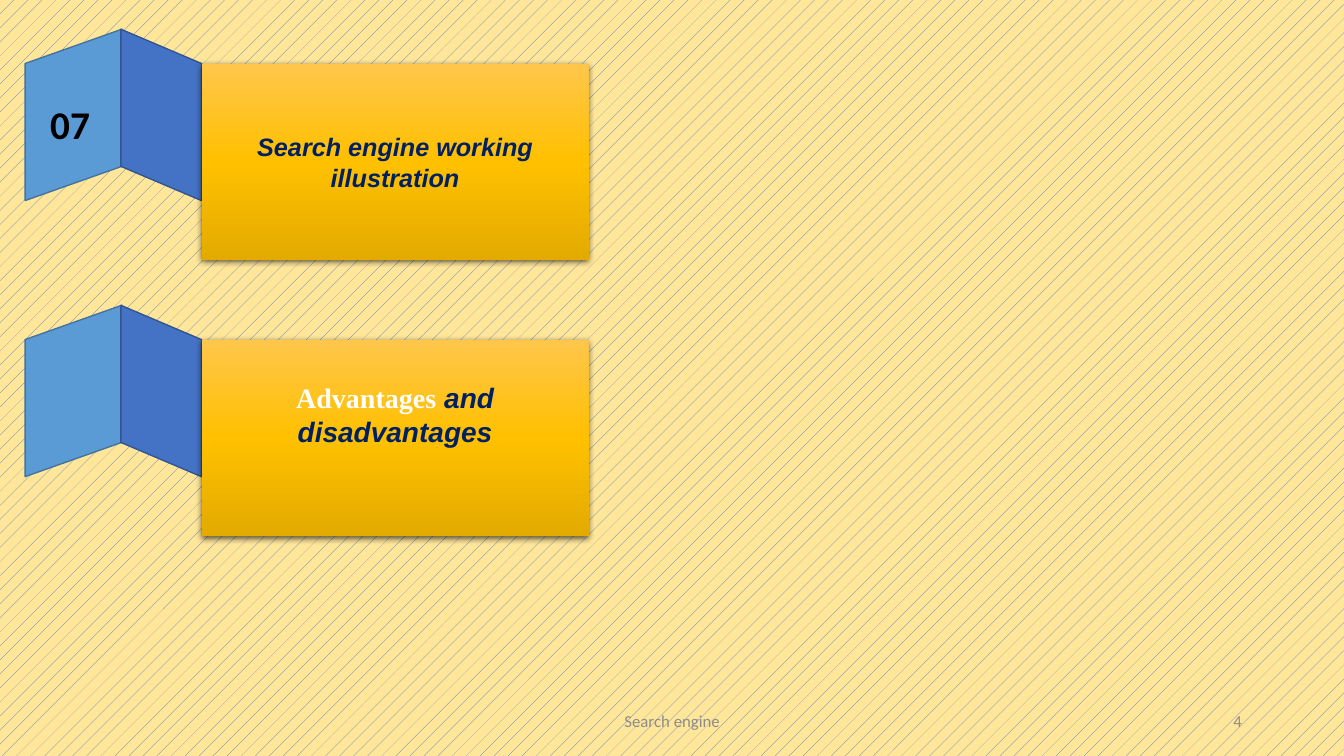
from dataclasses import dataclass

from lxml import etree
from pptx import Presentation
from pptx.dml.color import RGBColor
from pptx.enum.dml import MSO_PATTERN
from pptx.enum.shapes import MSO_SHAPE
from pptx.enum.text import MSO_ANCHOR, PP_ALIGN
from pptx.oxml.ns import qn
from pptx.util import Pt

PARALLELOGRAM = MSO_SHAPE.FLOWCHART_DATA
RECTANGLE = MSO_SHAPE.RECTANGLE
TOP, MIDDLE = MSO_ANCHOR.TOP, MSO_ANCHOR.MIDDLE
LEFT, CENTER, RIGHT = PP_ALIGN.LEFT, PP_ALIGN.CENTER, PP_ALIGN.RIGHT

NAVY, WHITE, BLACK, GRAY = "002060", "FFFFFF", "000000", "8C8C8C"
GOLD_STOPS = ((0, "FFC64B"), (50, "FFC000"), (100, "E3AB00"))


@dataclass
class Run:
    text: str
    size: float
    color: str
    font: str = "Calibri"
    bold: bool = False
    italic: bool = False


@dataclass
class Fold:
    left: float
    top: float  # below the top of the banner
    width: float
    height: float
    rotation: int
    flip: bool
    fill: str
    line: str


@dataclass
class Banner:
    top: float
    runs: list[Run]
    bottom_inset: float = 3.6


@dataclass
class Label:
    left: float
    top: float
    width: float
    height: float
    align: PP_ALIGN
    anchor: MSO_ANCHOR
    run: Run


FOLDS = [
    Fold(-8.64, 26.7, 122.4, 69.1, 90, True, "5B9BD5", "43739E"),
    Fold(54, 32.5, 122.4, 57.6, 270, False, "4472C4", "325491"),
]
BANNERS = [
    Banner(20.8, [Run("Search engine working illustration", 18, NAVY, "Arial", True, True)]),
    Banner(218, [Run("Advantages", 20, WHITE, "Times New Roman", True),
                 Run(" and disadvantages", 20, NAVY, "Arial", True, True)], 37.2),
]
LABELS = [
    Label(28.8, 68.4, 50.4, 41, LEFT, TOP, Run("07", 28, BLACK, bold=True)),
    Label(318.2, 500.4, 324, 28.8, CENTER, MIDDLE, Run("Search engine", 12, GRAY)),
    Label(678.2, 500.4, 216, 28.8, RIGHT, MIDDLE, Run("4", 12, GRAY)),
]


def rgb(value: str) -> RGBColor:
    return RGBColor.from_string(value)


def write(sp, runs: list[Run], align: PP_ALIGN, anchor: MSO_ANCHOR) -> None:
    tf = sp.text_frame
    tf.word_wrap = True
    tf.vertical_anchor = anchor
    p = tf.paragraphs[0]
    p.alignment = align
    for run in runs:
        r = p.add_run()
        r.text = run.text
        r.font.size = Pt(run.size)
        r.font.name = run.font
        r.font.bold = run.bold
        r.font.italic = run.italic
        r.font.color.rgb = rgb(run.color)


def add_color(parent, value: str):
    return etree.SubElement(parent, qn("a:srgbClr"), val=value)


def fill_gold(sp) -> None:
    sp.fill.gradient()
    sp.fill.gradient_angle = 270
    stops = sp.element.spPr.find(".//" + qn("a:gsLst"))
    for stop in list(stops):
        stops.remove(stop)
    for percent, color in GOLD_STOPS:
        add_color(etree.SubElement(stops, qn("a:gs"), pos=str(percent * 1000)), color)


def cast_shadow(sp) -> None:
    sp.shadow.inherit = False
    effects = sp.element.spPr.find(qn("a:effectLst"))
    shadow = etree.SubElement(effects, qn("a:outerShdw"), blurRad=str(Pt(4.5)),
                              dist=str(Pt(1.5)), dir="5400000", algn="ctr", rotWithShape="0")
    etree.SubElement(add_color(shadow, BLACK), qn("a:alpha"), val="63000")


def add_fold(shapes, fold: Fold, top: float) -> None:
    sp = shapes.add_shape(PARALLELOGRAM, Pt(fold.left), Pt(top + fold.top),
                          Pt(fold.width), Pt(fold.height))
    sp.rotation = fold.rotation
    if fold.flip:
        sp.element.spPr.find(qn("a:xfrm")).set("flipH", "1")
    sp.shadow.inherit = False
    sp.fill.solid()
    sp.fill.fore_color.rgb = rgb(fold.fill)
    sp.line.color.rgb = rgb(fold.line)
    sp.line.width = Pt(1)


def add_banner(slide, banner: Banner) -> None:
    shapes = slide.shapes.add_group_shape().shapes
    for fold in FOLDS:
        add_fold(shapes, fold, banner.top)
    sp = shapes.add_shape(RECTANGLE, Pt(144), Pt(banner.top + 25), Pt(276.5), Pt(139.7))
    fill_gold(sp)
    sp.line.fill.background()
    cast_shadow(sp)
    write(sp, banner.runs, CENTER, MIDDLE)
    sp.text_frame.margin_bottom = Pt(banner.bottom_inset)


def add_label(slide, label: Label) -> None:
    sp = slide.shapes.add_textbox(Pt(label.left), Pt(label.top), Pt(label.width), Pt(label.height))
    write(sp, [label.run], label.align, label.anchor)


def main() -> None:
    prs = Presentation()
    prs.slide_width, prs.slide_height = Pt(960), Pt(540)
    slide = prs.slides.add_slide(prs.slide_layouts[6])

    # Patterned background
    fill = slide.background.fill
    fill.patterned()
    fill.pattern = MSO_PATTERN.PERCENT_5
    fill.fore_color.rgb = rgb("4472C4")
    fill.back_color.rgb = rgb("FFE699")

    # Folded banners, then number and footer
    for banner in BANNERS:
        add_banner(slide, banner)
    for label in LABELS:
        add_label(slide, label)

    prs.save("out.pptx")


if __name__ == "__main__":
    main()
